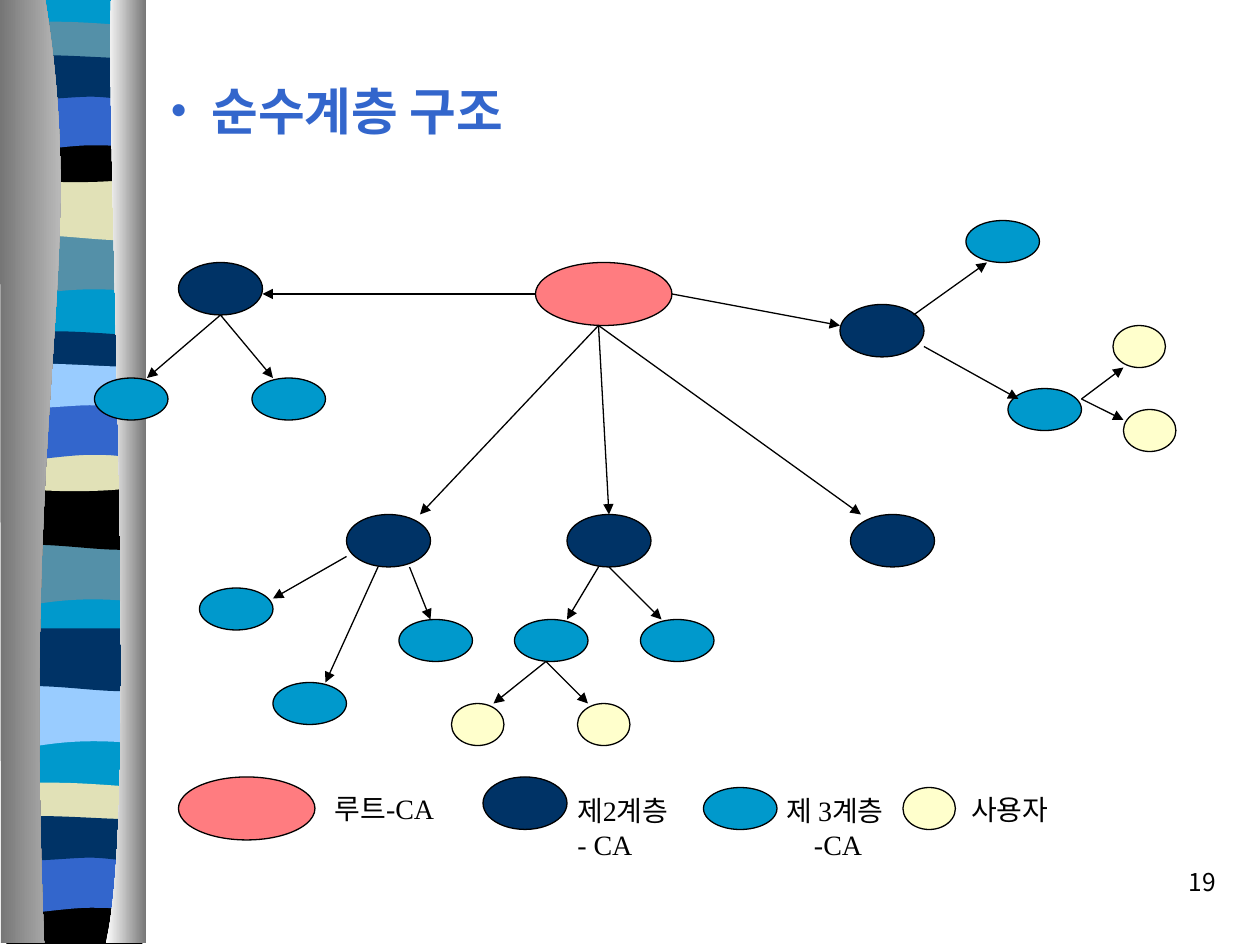
from lxml import etree
from pptx import Presentation
from pptx import util as u
from pptx.dml.color import RGBColor
from pptx.enum import shapes, text
from pptx.oxml import ns

STEP = 2.54 / 12
SANS, SERIF = "Noto Sans CJK KR", "Times New Roman"
INK, BLUE, NAVY, CYAN = "000000", "3366CC", "003366", "0099CC"
TEAL, SAND, SKY = "5490A8", "E1E1B7", "99CCFF"

LEVELS = {
    "root": (13, 6, "FF7C80"),
    "second": (8, 5, NAVY),
    "third": (7, 4, CYAN),
    "user": (5, 4, "FFFFCC"),
}
NODES = {
    "root": [(42, 4)],
    "second": [(8, 4), (24, 28), (45, 28), (72, 28), (71, 8)],
    "third": [(87, 16), (29, 38), (10, 35), (15, 15), (0, 15),
              (52, 38), (40, 38), (17, 44), (83, 0)],
    "user": [(46, 46), (34, 46), (98, 18), (97, 10)],
}
BRANCHES = [
    ((42, 7), [(16, 7)]),
    ((48, 10), [(31, 28), (49, 28), (73, 28)]),
    ((55, 7), [(71, 10)]),
    ((12, 9), [(5, 15), (17, 15)]),
    ((24, 32), [(17, 36)]),
    ((27, 33), [(22, 44)]),
    ((30, 33), [(32, 38)]),
    ((48, 33), [(45, 38)]),
    ((49, 33), [(54, 38)]),
    ((78, 9), [(85, 4)]),
    ((79, 12), [(88, 17)]),
    ((94, 17), [(98, 14), (98, 19)]),
    ((43, 42), [(38, 46), (47, 46)]),
]
LEGEND = [
    ("root", 0, 0, 13.7, 0.8, 12.5, ["루트-CA"], 0),
    ("second", 29, 0, 36.8, 1, 12.3, ["제2계층", "- CA"], 0),
    ("third", 50, 1, 56.7, 1, 13, ["제 3계층", "-CA"], 0.56),
    ("user", 69, 1, 74.3, 0.9, 9.7, ["사용자"], 0),
]
WIDE = 2.74
BANDS = {
    "base": [[(WIDE, 0)], [(WIDE, 19)], [(0, 19)], [(0, 0)]],
    "ebb": [[(WIDE, 0)], [(WIDE, 1.19)],
            [(0.84, 0.99), (0.46, 1.4), (0, 1.19)], [(0, 0)]],
    "swell": [[(WIDE, 0)], [(WIDE, 1.2)],
              [(2.29, 1.4), (0.84, 1.05), (0, 1.2)], [(0, 0)]],
    "lens": [[(WIDE, 0.13)], [(WIDE, 0.74)],
             [(2.29, 0.84), (0.46, 0.84), (0, 0.74)], [(0, 0.13)],
             [(0.16, 0), (0.58, 0.03), (1.04, 0.03)],
             [(1.5, 0.03), (2.39, 0.1), (WIDE, 0.13)]],
    "bowl": [[(WIDE, 0)], [(WIDE, 0.82)],
             [(2.29, 0.97), (0.46, 0.97), (0, 0.82)], [(0, 0)],
             [(1.68, 0.13), (2.16, 0), (WIDE, 0)]],
    "arch": [[(WIDE, 0)], [(WIDE, 1.19)],
             [(2.31, 1.05), (2.13, 1.05), (1.68, 1.05)],
             [(1.22, 1.05), (0.41, 1.19), (0, 1.19)], [(0, 0)]],
    "ripple": [[(WIDE, 0.13)], [(WIDE, 0.91)],
               [(2.57, 1.04), (2.13, 0.91), (1.68, 0.91)],
               [(1.22, 0.91), (0.28, 1.04), (0, 0.91)], [(0, 0.13)],
               [(0.38, 0), (1.85, 0.13), (2.31, 0.13)],
               [(2.79, 0.13), (2.67, 0.13), (WIDE, 0.13)]],
    "floor": [[(WIDE, 0)], [(WIDE, 0.95)], [(0, 0.95)], [(0, 0)],
              [(1.68, 0.13), (2.16, 0), (WIDE, 0)]],
}
RIBBON = [
    ("base", 0.15, -0.02, CYAN),
    ("ebb", 0.15, 4.7, TEAL), ("swell", 0.15, 3.58, SAND),
    ("lens", 0.15, 0.41, TEAL), ("bowl", 0.15, 2.74, INK),
    ("arch", 0.15, 1.88, BLUE), ("ripple", 0.15, 1.04, NAVY),
    ("ebb", 0.13, 10.95, TEAL), ("swell", 0.13, 9.82, INK),
    ("lens", 0.13, 6.65, NAVY), ("bowl", 0.13, 8.97, SAND),
    ("arch", 0.13, 8.12, BLUE), ("ripple", 0.13, 7.26, SKY),
    ("ebb", 0.15, 13.81, SKY), ("swell", 0.15, 12.67, NAVY),
    ("lens", 0.13, 15.75, SAND), ("floor", 0.13, 18.08, INK),
    ("arch", 0.13, 17.25, BLUE), ("ripple", 0.13, 16.38, NAVY),
]
PILLARS = [
    ([[(0.91, -0.02)], [(1.8, 5.49), (0.43, 7.52), (0.89, 19.02)],
      [(0.02, 19.02)], [(0, -0.02)], [(0.91, -0.02)]], "767676", "D9D9D9"),
    ([[(2.24, -0.02)], [(2.13, 3.18), (2.82, 16.41), (2.13, 19.02)],
      [(2.95, 19.02)], [(2.95, 0)], [(2.24, -0.02)]], "FFFFFF", "767676"),
]


def rgb(value):
    return RGBColor.from_string(value)


def grid(*counts):
    return [u.Cm(count * STEP) for count in counts]


def outline(slide, left, top, segments):
    corners = [(u.Cm(left + x), u.Cm(top + y)) for part in segments for x, y in part]
    builder = slide.shapes.build_freeform(*corners[0])
    builder.add_line_segments(corners[1:], close=True)
    area = builder.convert_to_shape()
    sides = iter(area._element.findall(".//" + ns.qn("a:lnTo")))
    for part in segments[1:]:
        side = next(sides)
        if len(part) == 3:
            side.tag = ns.qn("a:cubicBezTo")
            for _ in range(2):
                following = next(sides)
                side.append(following[0])
                following.getparent().remove(following)
    area.shadow.inherit = False
    area.line.fill.background()
    return area


def add_sidebar(slide, left, top):
    for shape, x, y, colour in RIBBON:
        band = outline(slide, left + x, top + y, BANDS[shape])
        band.fill.solid()
        band.fill.fore_color.rgb = rgb(colour)
    for segments, start, end in PILLARS:
        pillar = outline(slide, left, top, segments)
        pillar.fill.gradient()
        pillar.fill.gradient_angle = 0
        for stop, colour in zip(pillar.fill.gradient_stops, (start, end)):
            stop.color.rgb = rgb(colour)


def add_text(slide, box, lines, size, face, colour=INK, wrap=True):
    frame = slide.shapes.add_textbox(*grid(*box)).text_frame
    frame.word_wrap = wrap
    frame.text = "\n".join(lines)
    for paragraph in frame.paragraphs:
        paragraph.font.size = u.Pt(size)
        paragraph.font.name = face
        paragraph.font.color.rgb = rgb(colour)
    return frame


def add_title(slide, box):
    frame = add_text(slide, box, ["순수계층 구조"], 29, SANS, BLUE)
    frame.vertical_anchor = text.MSO_ANCHOR.MIDDLE
    heading = frame.paragraphs[0]
    heading.font.bold = True
    properties = heading._p.get_or_add_pPr()
    properties.set("marL", str(u.Cm(0.84)))
    properties.set("indent", str(u.Cm(-0.84)))
    properties.insert(0, etree.Element(ns.qn("a:buFont"), typeface=SERIF))
    properties.insert(1, etree.Element(ns.qn("a:buChar"), char="•"))


def add_node(slide, level, x, y):
    width, height, colour = LEVELS[level]
    node = slide.shapes.add_shape(shapes.MSO_SHAPE.OVAL, *grid(x, y, width, height))
    node.shadow.inherit = False
    node.fill.solid()
    node.fill.fore_color.rgb = rgb(colour)
    node.line.color.rgb = rgb(INK)
    node.line.width = u.Pt(0.75)


def add_arrow(slide, start, end):
    arrow = slide.shapes.add_connector(
        shapes.MSO_CONNECTOR.STRAIGHT, *grid(*start, *end))
    arrow.line.color.rgb = rgb(INK)
    arrow.line.width = u.Pt(0.75)
    etree.SubElement(arrow.line._get_or_add_ln(), ns.qn("a:tailEnd"), type="triangle")
    etree.SubElement(arrow._element.spPr, ns.qn("a:effectLst"))


def add_hierarchy(slide, left, top):
    for level, places in NODES.items():
        for x, y in places:
            add_node(slide, level, left + x, top + y)
    for (x, y), targets in BRANCHES:
        for to_x, to_y in targets:
            add_arrow(slide, (left + x, top + y), (left + to_x, top + to_y))


def add_legend(slide, left, top):
    for level, x, y, label_x, label_y, width, lines, indent in LEGEND:
        add_node(slide, level, left + x, top + y)
        box = (left + label_x, top + label_y, width, 4.4 if len(lines) == 1 else 7.7)
        label = add_text(slide, box, lines, 16, SERIF, wrap=False)
        if indent:
            label.paragraphs[-1]._p.get_or_add_pPr().set("marL", str(u.Cm(indent)))


def add_page_number(slide, box):
    number = add_text(slide, box, ["19"], 14, SANS)
    number.paragraphs[0].alignment = text.PP_ALIGN.RIGHT


def main():
    deck = Presentation()
    deck.slide_width, deck.slide_height = u.Cm(25.4), u.Cm(19.05)
    slide = deck.slides.add_slide(deck.slide_layouts[6])
    add_sidebar(slide, 0, 0)
    add_page_number(slide, (92, 82, 25, 6))
    add_title(slide, (15, 3, 102, 15))
    add_hierarchy(slide, 9, 21)
    add_legend(slide, 17, 74)
    deck.save("out.pptx")


if __name__ == "__main__":
    main()
